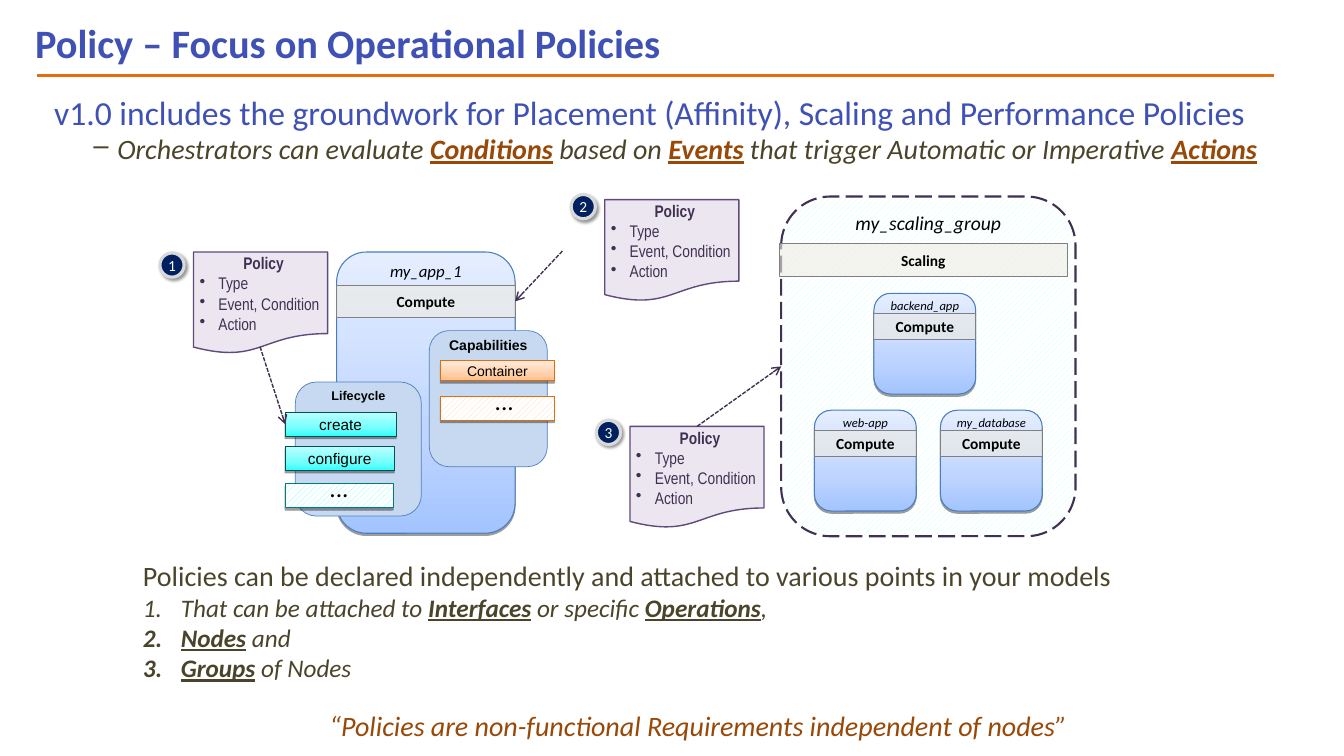
from dataclasses import dataclass
from typing import Optional

from lxml.etree import SubElement
from pptx import Presentation
from pptx.dml.color import RGBColor
from pptx.enum.dml import MSO_LINE, MSO_PATTERN
from pptx.enum.shapes import MSO_CONNECTOR, MSO_SHAPE as Preset
from pptx.enum.text import MSO_ANCHOR as Anchor, PP_ALIGN as Align
from pptx.oxml.ns import qn
from pptx.util import Pt

Box = tuple[float, float, float, float]
Runs = list[tuple[str, bool]]
BLUE, BROWN, OLIVE, PLUM, BLACK = "3F51B5", "984807", "4A452A", "403152", "000000"
NODE_BLUES = ("A3C4FF", "BFD5FF", "E5EEFF")
ORANGES = ("FFBE86", "FFD0AA", "FFEBDB")
CYANS = ("2FFFFB", "75FFFC", "BAFFFE")
LOW_SHADOW = (38, 0, 1.6, 90)
BADGE_SHADOW = (40, 2, 2, 45)


@dataclass
class Look:
    fill: str | tuple[str, ...]
    line: str
    weight: float = 0.75
    opacity: int = 100
    hatched: bool = False
    shadow: Optional[tuple[float, float, float, float]] = None


@dataclass
class Type:
    size: float
    color: str = BLACK
    face: str = "Calibri"
    bold: bool = False
    italic: bool = False


@dataclass
class Node:
    box: Box
    name: str
    name_size: float
    band_offset: float
    band_height: float


@dataclass
class Policy:
    number: str
    left: float
    top: float
    badge_top: float


@dataclass
class Operation:
    box: Box
    text: str
    look: Look
    size: float = 11
    dots_left: float = 0


NODE = Look(NODE_BLUES, "4A7EBB", shadow=LOW_SHADOW)
BAND = Look("EEECE1", "808080", opacity=60)
PANEL = Look("C6D9F1", "4F81BD", 0.5)
DOCUMENT = Look("E6E0EC", "604A7B", 1, opacity=80)
BADGE = Look("002060", "D9D9D9", 2.25, shadow=BADGE_SHADOW)
GROUP = Look("CCFFFF", PLUM, 1.5, hatched=True)
CONTAINER = Look(ORANGES, "E46C0A", shadow=LOW_SHADOW)
MORE_CONTAINERS = Look("FCD5B5", "E46C0A", hatched=True, shadow=LOW_SHADOW)
OPERATION = Look(CYANS, "005250", shadow=LOW_SHADOW)
MORE_OPERATIONS = Look("75FFFC", "007B79", hatched=True, shadow=LOW_SHADOW)

APP = Node((240.48, 180, 127.44, 200.88), "my_app_1", 12, 23.76, 23.04)
MEMBERS = [
    Node((left, top, 72.72, 72), name, 9, 14.6, 18.72)
    for left, top, name in [
        (624.24, 209.52, "backend_app"),
        (671.76, 293.04, "my_database"),
        (581.76, 293.04, "web-app"),
    ]
]
POLICIES = [
    Policy("1", 138.24, 180, 180.72),
    Policy("2", 432, 142.56, 138.96),
    Policy("3", 450, 304.56, 300.24),
]
CAPABILITIES = [
    Operation((314.64, 257.76, 81.36, 14.4), "Container", CONTAINER, 10),
    Operation((314.64, 282.96, 81.36, 17.28), "", MORE_CONTAINERS, dots_left=346.32),
]
LIFECYCLE = [
    Operation((203.76, 294.48, 79.2, 17.28), "create", OPERATION),
    Operation((203.76, 318.96, 77.76, 17.28), "configure", OPERATION),
    Operation((203.76, 345.6, 77.04, 17.28), "", MORE_OPERATIONS, dots_left=228.24),
]
EVALUATION: Runs = [
    ("Orchestrators can evaluate ", False), ("Conditions", True), (" based on ", False),
    ("Events", True), (" that trigger Automatic or Imperative ", False), ("Actions", True),
]
ATTACH_POINTS: list[Runs] = [
    [("That can be attached to ", False), ("Interfaces", True), (" or specific ", False),
     ("Operations", True), (",", False)],
    [("Nodes", True), (" and", False)],
    [("Groups", True), (" of Nodes", False)],
]

deck = Presentation()
deck.slide_width, deck.slide_height = Pt(960), Pt(540)
slide = deck.slides.add_slide(deck.slide_layouts[6])


def rgb(code: str) -> RGBColor:
    return RGBColor.from_string(code)


def style_runs(paragraph, kind: Type) -> None:
    for run in paragraph.runs:
        font = run.font
        font.size, font.name = Pt(kind.size), kind.face
        font.bold, font.italic = kind.bold, kind.italic
        font.color.rgb = rgb(kind.color)


def add_bullet(paragraph, tag: str, value: str, margin: float, hang: float) -> None:
    props = paragraph._p.get_or_add_pPr()
    props.set("marL", str(Pt(margin)))
    props.set("indent", str(-Pt(hang)))
    SubElement(props, qn(f"a:{tag}"), {"buChar": "char", "buAutoNum": "type"}[tag] and
               ({"char": value} if tag == "buChar" else {"type": value}))


def add_emphasised(paragraph, parts: Runs, kind: Type, accent: str) -> None:
    for text, _ in parts:
        paragraph.add_run().text = text
    style_runs(paragraph, kind)
    for run, (_, strong) in zip(paragraph.runs, parts):
        if strong:
            run.font.bold = run.font.underline = True
            run.font.color.rgb = rgb(accent)


def set_frame(frame, insets: Box, anchor: Anchor, wrap: bool) -> None:
    frame.margin_left, frame.margin_top, frame.margin_right, frame.margin_bottom = map(Pt, insets)
    frame.vertical_anchor, frame.word_wrap = anchor, wrap


def add_text(box: Box, text: str, kind: Type, anchor: Anchor = Anchor.TOP):
    frame = slide.shapes.add_textbox(*map(Pt, box)).text_frame
    set_frame(frame, (7.2, 3.6, 7.2, 3.6), anchor, True)
    frame.text = text
    style_runs(frame.paragraphs[0], kind)
    return frame


def paint(shape, look: Look) -> None:
    fill, props = shape.fill, shape._element.spPr
    if isinstance(look.fill, tuple):
        fill.gradient()
        fill.gradient_angle = 90
        stops = props.find(".//" + qn("a:gsLst"))
        stops.clear()
        for place, color in zip((0, 35, 100), look.fill):
            stop = SubElement(stops, qn("a:gs"), pos=str(place * 1000))
            SubElement(stop, qn("a:srgbClr"), val=color)
    elif look.hatched:
        fill.patterned()
        fill.pattern = MSO_PATTERN.WIDE_UPWARD_DIAGONAL
        fill.fore_color.rgb, fill.back_color.rgb = rgb(look.fill), rgb("FFFFFF")
    else:
        fill.solid()
        fill.fore_color.rgb = rgb(look.fill)
        if look.opacity < 100:
            SubElement(props.find(".//" + qn("a:srgbClr")), qn("a:alpha"), val=str(look.opacity * 1000))
    shape.line.color.rgb, shape.line.width = rgb(look.line), Pt(look.weight)
    shape.shadow.inherit = False
    if look.shadow:
        opacity, blur, distance, angle = look.shadow
        cast = SubElement(props.find(qn("a:effectLst")), qn("a:outerShdw"), blurRad=str(Pt(blur)),
                          dist=str(Pt(distance)), dir=str(angle * 60000), rotWithShape="0")
        SubElement(SubElement(cast, qn("a:srgbClr"), val=BLACK), qn("a:alpha"), val=str(opacity * 1000))


def add_block(preset: Preset, box: Box, look: Look, text: str, kind: Type,
              insets: Box = (7.2, 0, 7.2, 0), anchor: Anchor = Anchor.MIDDLE, wrap: bool = False):
    shape = slide.shapes.add_shape(preset, *map(Pt, box))
    paint(shape, look)
    set_frame(shape.text_frame, insets, anchor, wrap)
    shape.text_frame.text = text
    for paragraph in shape.text_frame.paragraphs:
        paragraph.alignment = Align.CENTER
        style_runs(paragraph, kind)
    return shape


def add_rounded(box: Box, look: Look, text: str, kind: Type):
    return add_block(Preset.ROUNDED_RECTANGLE, box, look, text, kind, anchor=Anchor.TOP, wrap=True)


def add_band(box: Box, text: str):
    return add_block(Preset.RECTANGLE, box, BAND, text, Type(11, bold=True))


def add_node(node: Node):
    left, top, width, _ = node.box
    add_rounded(node.box, NODE, node.name, Type(node.name_size, italic=True))
    return add_band((left, top + node.band_offset, width, node.band_height), "Compute")


def add_panel(box: Box, title: str, size: float, operations: list[Operation]) -> list:
    add_rounded(box, PANEL, title, Type(size, face="Arial", bold=True))
    bars = []
    for item in operations:
        bars.append(add_block(Preset.RECTANGLE, item.box, item.look, item.text,
                              Type(item.size, face="Arial"), (0, 3.6, 0, 3.6)))
        if item.dots_left:
            add_text((item.dots_left, item.box[1] - 11.52, 30.24, 28.8), "...", Type(18))
    return bars


def add_policy(policy: Policy):
    note = add_block(Preset.FLOWCHART_DOCUMENT, (policy.left, policy.top, 95.76, 72.72), DOCUMENT,
                     "Policy\nType\nEvent, Condition\nAction", Type(12, PLUM, "Arial Narrow"),
                     (4.32, 5.76, 0, 0), Anchor.BOTTOM)
    heading, *details = note.text_frame.paragraphs
    heading.runs[0].font.bold = True
    for detail in details:
        detail.alignment = Align.LEFT
        add_bullet(detail, "buChar", "•", 13.5, 13.5)
    add_block(Preset.OVAL, (policy.left - 24, policy.badge_top, 17.28, 17.28), BADGE,
              policy.number, Type(11, "FFFFFF"), (7.2, 3.6, 7.2, 3.6))
    return note


def add_line(start: tuple[float, float], end: tuple[float, float], color: str, weight: float):
    line = slide.shapes.add_connector(MSO_CONNECTOR.STRAIGHT, *map(Pt, start + end))
    line.line.color.rgb, line.line.width = rgb(color), Pt(weight)
    SubElement(line._element.spPr, qn("a:effectLst"))
    return line


def add_attachment(start: tuple[float, float], target, side: int):
    arrow = add_line(start, start, PLUM, 1)
    arrow.end_connect(target, side)
    arrow.line.dash_style = MSO_LINE.SQUARE_DOT
    SubElement(arrow.line._get_or_add_ln(), qn("a:tailEnd"), type="arrow")
    return arrow


add_line((26.64, 54), (910.08, 54), "E46C0A", 2)
title = add_text((18, 12.24, 905.76, 40.32), "Policy – Focus on Operational Policies",
                 Type(28.8, BLUE, bold=True), Anchor.MIDDLE)
title.paragraphs[0].line_spacing = 0.9

summary = add_text((31.68, 61.92, 892.8, 95.76),
                   "v1.0 includes the groundwork for Placement (Affinity), Scaling and Performance Policies",
                   Type(24, BLUE))
evaluation = summary.add_paragraph()
evaluation.level = 1
add_bullet(evaluation, "buChar", "‒", 45, 18)
add_emphasised(evaluation, EVALUATION, Type(20, OLIVE, italic=True), BROWN)

attaching = add_text((95.04, 395.28, 804.96, 72),
                     "Policies can be declared independently and attached to various points in your models",
                     Type(20, OLIVE))
for attach_point in ATTACH_POINTS:
    numbered = attaching.add_paragraph()
    add_bullet(numbered, "buAutoNum", "arabicPeriod", 27, 27)
    add_emphasised(numbered, attach_point, Type(18, OLIVE, italic=True), OLIVE)

app_compute = add_node(APP)
add_panel((306.72, 236.16, 84.24, 97.2), "Capabilities", 10, CAPABILITIES)
create, *_ = add_panel((210.96, 272.88, 90, 95.76), "Lifecycle", 9, LIFECYCLE)

scaling_group = add_rounded((558, 140.4, 210.24, 242.64), GROUP, "my_scaling_group", Type(14, italic=True))
scaling_group.line.dash_style = MSO_LINE.LONG_DASH
add_band((556.56, 174.24, 205.92, 23.04), "Scaling")
for member in MEMBERS:
    add_node(member)

_, _, group_policy = [add_policy(policy) for policy in POLICIES]
add_attachment((185.76, 247.68), create, 1)
add_attachment((401.76, 179.28), app_compute, 3)
add_attachment((497.88, 304.56), scaling_group, 1).begin_connect(group_policy, 0)

add_text((228.24, 502.56, 660.24, 31.68),
         "“Policies are non-functional Requirements independent of nodes”", Type(20, BROWN, italic=True))

deck.save("out.pptx")
